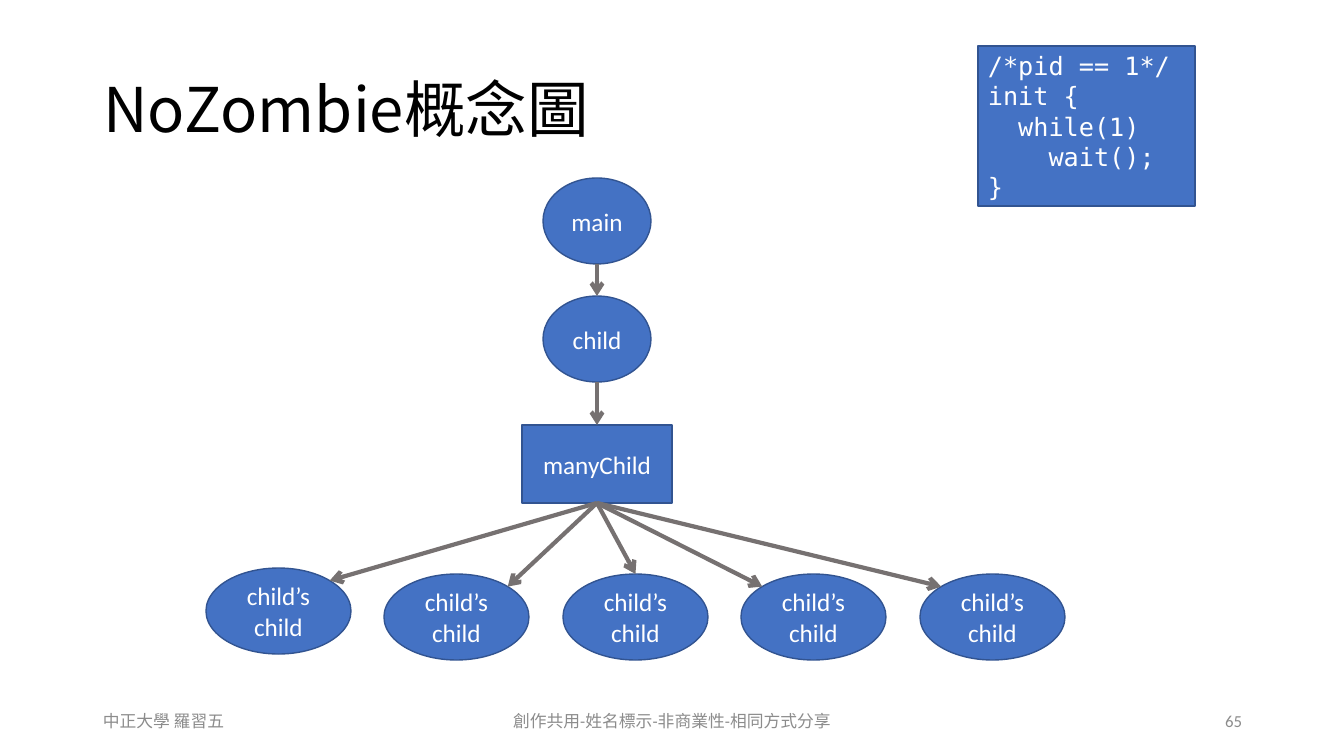
import math
import lxml.etree
import pptx
import pptx.util
import pptx.dml.color
import pptx.enum.shapes
import pptx.enum.text
import pptx.oxml.ns

RGBColor = pptx.dml.color.RGBColor
BLUE = RGBColor(0x44, 0x72, 0xC4)
DARK_BLUE = RGBColor(0x32, 0x54, 0x91)
ARROW_GRAY = RGBColor(0x76, 0x71, 0x71)
FOOTER_GRAY = RGBColor(0x8C, 0x8C, 0x8C)
WHITE = RGBColor(0xFF, 0xFF, 0xFF)
BLACK = RGBColor(0, 0, 0)

BODY_FONT, CODE_FONT, CJK_FONT = "Calibri", "DejaVu Sans Mono", "Noto Sans CJK SC"
ALIGN = pptx.enum.text.PP_ALIGN
OVAL = pptx.enum.shapes.MSO_SHAPE.OVAL
RECTANGLE = pptx.enum.shapes.MSO_SHAPE.RECTANGLE

TITLE = "NoZombie概念圖"
INIT_CODE = "/*pid == 1*/\ninit {\n  while(1)\n    wait();\n}"
CHAIN = [
    ("main", OVAL, (543, 178, 108, 86)),
    ("child", OVAL, (543, 296, 108, 86)),
    ("manyChild", RECTANGLE, (522, 425, 150, 78)),
]
LEAF_TEXT = "child’s\nchild"
LEAF_LEFT, LEAF_STEP, LEAF_SIZE = 206, 178.4, (145, 86)
LEAF_TOPS = [568, 574, 574, 574, 574]
LEAF_SITES = ["top right", "top right", "top", "top left", "top left"]
FOOTERS = [
    ("中正大學 羅習五", 93, 302, ALIGN.LEFT),
    ("創作共用-姓名標示-非商業性-相同方式分享", 445, 454, ALIGN.CENTER),
    ("65", 950, 302, ALIGN.RIGHT),
]
DIAGONAL = math.sqrt(0.5)
SITES = {
    "top": (0, -1),
    "bottom": (0, 1),
    "top left": (-DIAGONAL, -DIAGONAL),
    "top right": (DIAGONAL, -DIAGONAL),
}


def emu(pixels):
    return round(pixels * 914400 / 100.8)


def write(shape, text, size, font, color, alignment, spacing=None):
    frame = shape.text_frame
    frame.text = text
    frame.word_wrap = True
    frame.vertical_anchor = pptx.enum.text.MSO_ANCHOR.MIDDLE
    for paragraph in frame.paragraphs:
        paragraph.alignment = alignment
        paragraph.line_spacing = spacing
        for run in paragraph.runs:
            run.font.size = pptx.util.Pt(size)
            run.font.name = font
            run.font.color.rgb = color
            east_asian = lxml.etree.Element(pptx.oxml.ns.qn("a:ea"), typeface=CJK_FONT)
            run.font._element.find(pptx.oxml.ns.qn("a:latin")).addnext(east_asian)


def add_node(text, kind, box, font=BODY_FONT, alignment=ALIGN.CENTER):
    shape = slide.shapes.add_shape(kind, *map(emu, box))
    shape.shadow.inherit = False
    shape.fill.solid()
    shape.fill.fore_color.rgb = BLUE
    shape.line.color.rgb = DARK_BLUE
    shape.line.width = pptx.util.Pt(1)
    write(shape, text, 18, font, WHITE, alignment)
    return shape


def site_point(shape, site):
    across, down = SITES[site]
    return (round(shape.left + shape.width * (1 + across) / 2),
            round(shape.top + shape.height * (1 + down) / 2))


def add_arrow(parent, node, site="top"):
    arrow = slide.shapes.add_connector(
        pptx.enum.shapes.MSO_CONNECTOR.STRAIGHT,
        *site_point(parent, "bottom"), *site_point(node, site))
    arrow.line.color.rgb = ARROW_GRAY
    arrow.line.width = pptx.util.Pt(3)
    line = arrow.line._get_or_add_ln()
    lxml.etree.SubElement(line, pptx.oxml.ns.qn("a:tailEnd"), type="arrow")
    lxml.etree.SubElement(arrow._element.spPr, pptx.oxml.ns.qn("a:effectLst"))


presentation = pptx.Presentation()
presentation.slide_width, presentation.slide_height = emu(1344), emu(756)
slide = presentation.slides.add_slide(presentation.slide_layouts[5])

title = slide.shapes.title
title.left, title.top, title.width, title.height = map(emu, (93, 40, 1159, 146))
write(title, TITLE, 44, CJK_FONT, BLACK, ALIGN.LEFT, 0.9)

chain = [add_node(*node) for node in CHAIN]
leaves = [
    add_node(LEAF_TEXT, OVAL, (round(LEAF_LEFT + index * LEAF_STEP), top, *LEAF_SIZE))
    for index, top in enumerate(LEAF_TOPS)
]
for leaf, site in zip(leaves, LEAF_SITES):
    add_arrow(chain[-1], leaf, site)
for parent, node in zip(chain, chain[1:]):
    add_arrow(parent, node)

add_node(INIT_CODE, RECTANGLE, (978, 46, 217, 160), CODE_FONT, ALIGN.LEFT)

for text, left, width, alignment in FOOTERS:
    footer = slide.shapes.add_textbox(*map(emu, (left, 701, width, 40)))
    write(footer, text, 12, BODY_FONT, FOOTER_GRAY, alignment)

presentation.save("out.pptx")
